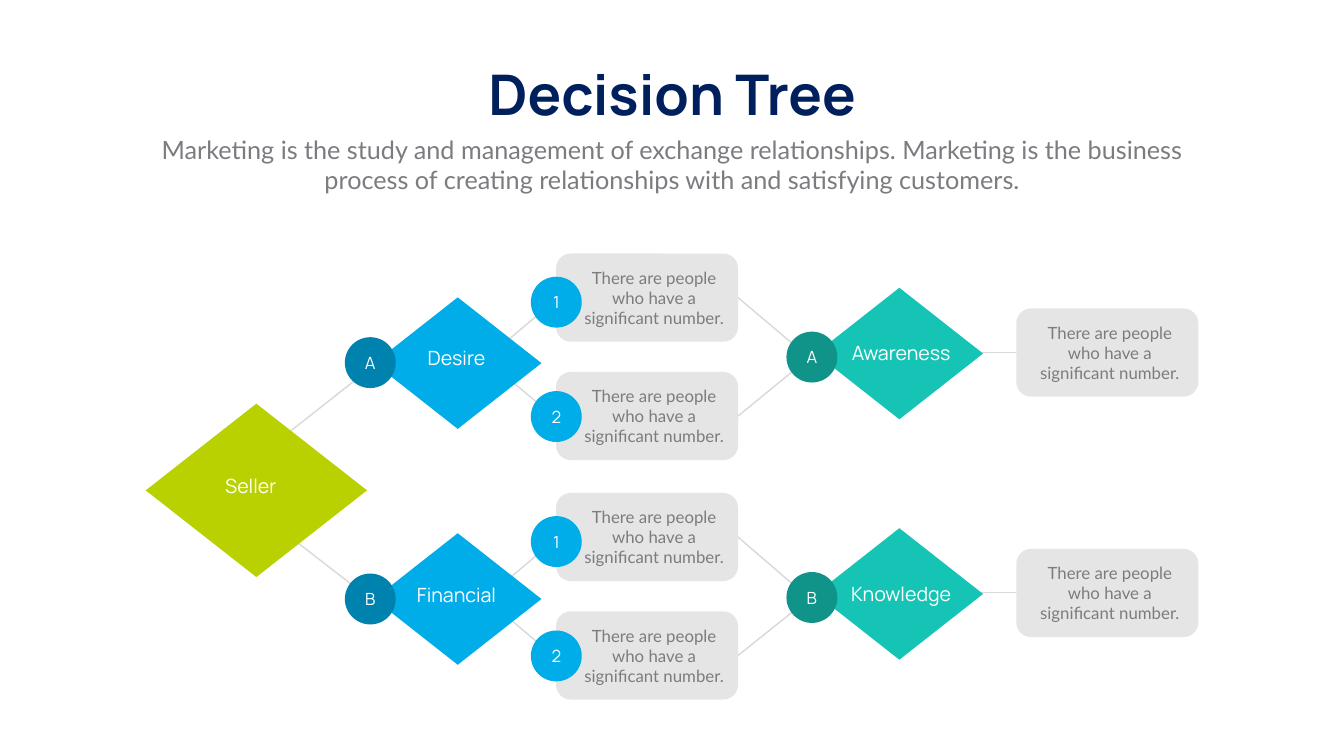
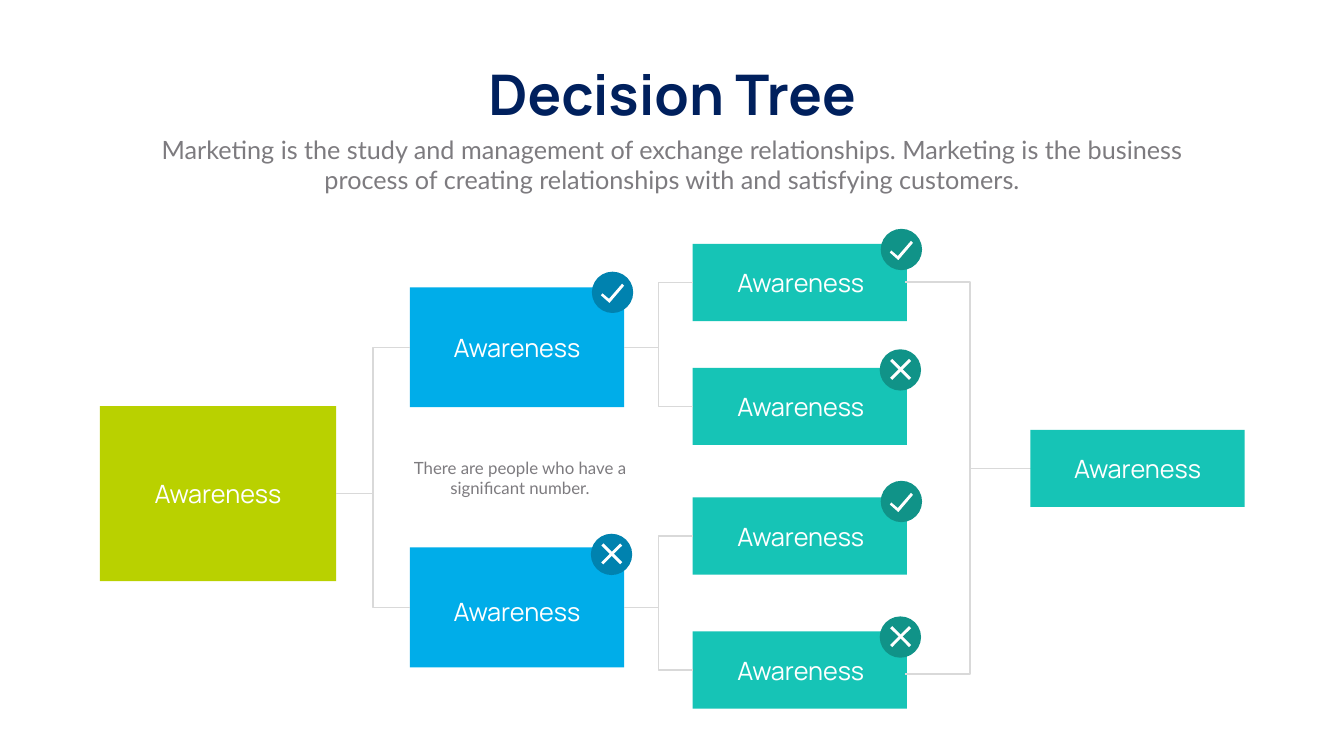
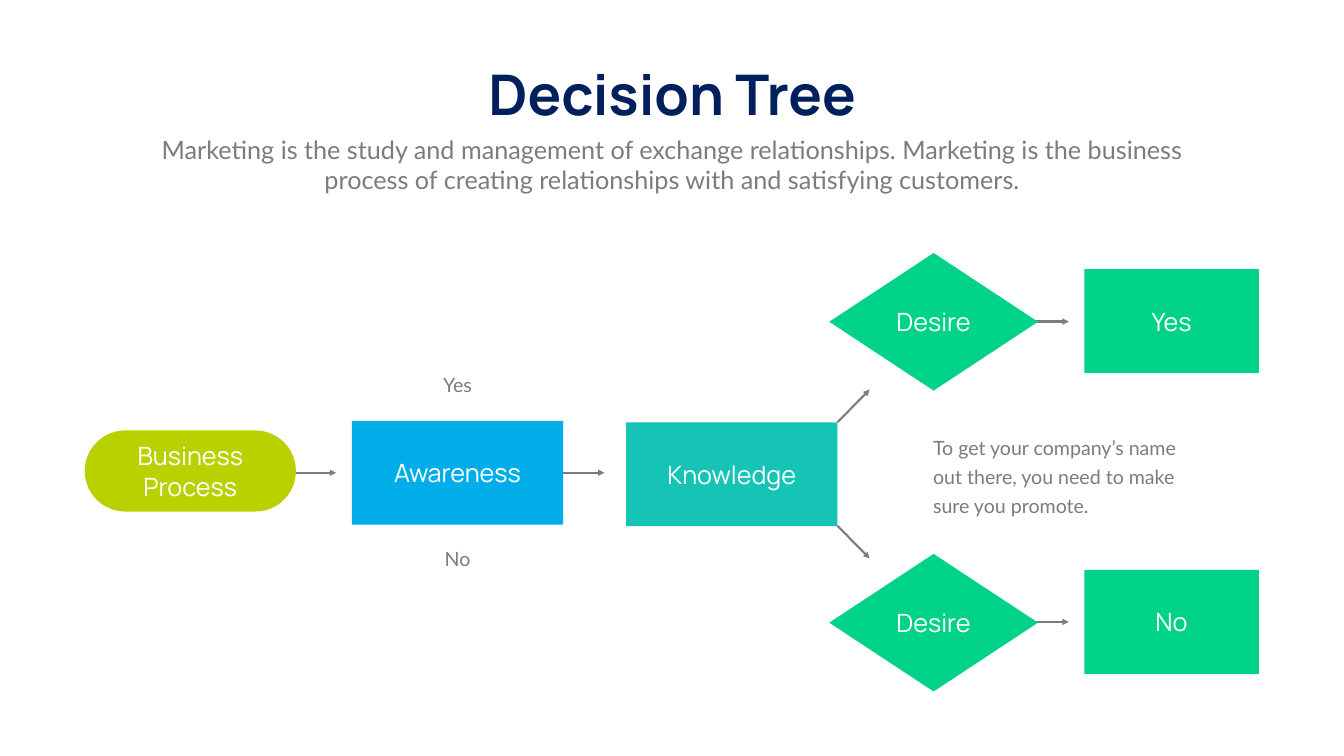
from lxml.etree import SubElement
from pptx import Presentation
from pptx.dml.color import RGBColor
from pptx.enum.shapes import MSO_CONNECTOR as LINK, MSO_SHAPE as FORM
from pptx.enum.text import MSO_ANCHOR, MSO_AUTO_SIZE, PP_ALIGN
from pptx.oxml.ns import qn
from pptx.util import Pt

PX = 9144
WIDE, HIGH = 2666, 1500

NAVY, GREY, PALE, RULE = "00205D", "7D7B7F", "E5E5E5", "D9D9D9"
LIME, BLUE, DEEP = "B9D100", "00ADE9", "0082AF"
TEAL, PINE, GREEN, WHITE = "16C4B6", "109388", "00D287", "FFFFFF"
HEAD, BODY = "Manrope", "Lato"
INSET = (10, 5, 10, 5)

TITLE = "Decision Tree"
LEAD = ("Marketing is the study and management of exchange relationships. "
        "Marketing is the business process of creating relationships with "
        "and satisfying customers.")
NOTE = "There are people who have a significant number."
PITCH = ("To get your company’s name out there, you need to make sure "
         "you promote.")

TRUNK = [(578, 854, 705, 754), (579, 1068, 707, 1167)]
ROWS = [
    ("A", "Desire", 590, 669, 22, "Awareness"),
    ("B", "Financial", 1058, 1138, 16, "Knowledge"),
]
CHOICES = [
    ("1", 503, 549, (683, 607), 681),
    ("2", 738, 776, (742, 818), 738),
]
CARD_STEP, TEAL_STEP = 475, 477

ROOT = (198, 806, 469, 347)
FORKS = [
    (570, 0, "check", (1174, 539), [
        (484, "check", (1747, 454)), (730, "cross", (1745, 693))]),
    (1086, 17, "cross", (1172, 1059), [
        (987, "check", (1747, 954)), (1253, "cross", (1745, 1223))]),
]
TICK = [(60, 24), (64, 28), (35, 62), (18, 47), (21, 43), (34, 54)]
MERGE = [560, 1337]

ARROWS = [
    (2010, 1234, 2120, 1234), (2010, 638, 2120, 638),
    (1090, 938, 1199, 938), (558, 938, 667, 938),
    (1661, 838, 1725, 773), (1661, 1043, 1725, 1108),
]
STEPS = [
    (FORM.ROUNDED_RECTANGLE, (168, 854, 419, 161), LIME, "Business Process"),
    (FORM.RECTANGLE, (698, 835, 419, 206), BLUE, "Awareness"),
    (FORM.RECTANGLE, (1242, 838, 419, 206), TEAL, "Knowledge"),
]
ENDS = [("Yes", 502, 735), ("No", 1099, 1080)]


def px(*nums):
    return [round(num * PX) for num in nums]


def tint(code):
    return RGBColor.from_string(code)


def write(shape, text, size, font=HEAD, color=WHITE, pad=(0, 0, 0, 0),
          wrap=True, anchor=MSO_ANCHOR.MIDDLE, align=PP_ALIGN.CENTER):
    frame = shape.text_frame
    frame.text = text
    frame.word_wrap = wrap
    frame.auto_size = MSO_AUTO_SIZE.NONE
    frame.vertical_anchor = anchor
    (frame.margin_left, frame.margin_top,
     frame.margin_right, frame.margin_bottom) = px(*pad)
    para = frame.paragraphs[0]
    para.alignment = align
    face = para.runs[0].font
    face.name, face.size = font, Pt(size)
    face.color.rgb = tint(color)
    return para


def paint(shape, color):
    shape.shadow.inherit = False
    shape.fill.solid()
    shape.fill.fore_color.rgb = tint(color)
    shape.line.fill.background()
    return shape


def block(slide, form, box, color, text="", size=36, **more):
    shape = paint(slide.shapes.add_shape(form, *px(*box)), color)
    if text:
        write(shape, text, size, **more)
    return shape


def label(slide, box, text, size, **more):
    area = slide.shapes.add_textbox(*px(*box))
    return write(area, text, size, BODY, GREY, INSET,
                 anchor=MSO_ANCHOR.TOP, **more)


def join(slide, ends, color=RULE, width=2, kind=LINK.STRAIGHT, arrow=False):
    line = slide.shapes.add_connector(kind, *px(*ends))
    line.line.color.rgb = tint(color)
    line.line.width = Pt(width)
    props = line._element.spPr
    if arrow:
        SubElement(props.find(qn("a:ln")), qn("a:tailEnd"), type="triangle")
    SubElement(props, qn("a:effectLst"))
    return line


def elbow(slide, start, stop):
    line = join(slide, (0, 0, 10, 10), kind=LINK.ELBOW)
    line.begin_connect(start, 3)
    line.end_connect(stop, 1)


def disc(slide, x, y, color, text):
    block(slide, FORM.OVAL, (x, y, 101, 101), color, text, 24)


def card(slide, x, y, left, right):
    return block(slide, FORM.ROUNDED_RECTANGLE, (x, y, 361, 175), PALE, NOTE,
                 24, font=BODY, color_text=GREY, pad=(left, 0, right, 0))


def badge(slide, mark, spot, color):
    x, y = spot
    block(slide, FORM.OVAL, (x, y, 82, 82), color)
    if mark == "check":
        dots = [(x + dx, y + dy) for dx, dy in TICK]
        pen = slide.shapes.build_freeform(*dots[0], scale=PX)
        pen.add_line_segments(dots[1:], close=True)
        paint(pen.convert_to_shape(), WHITE)
    else:
        for turn in (45, 315):
            bar = block(slide, FORM.RECTANGLE, (x + 15, y + 37, 53, 6), WHITE)
            bar.rotation = turn


def start(deck):
    slide = deck.slides.add_slide(deck.slide_layouts[5])
    title = slide.shapes.title
    title.left, title.top, title.width, title.height = px(938, 112, 791, 145)
    para = write(title, TITLE, 80, color=NAVY, pad=INSET, wrap=False)
    para.runs[0].font.bold = True
    label(slide, (292, 261, 2082, 131), LEAD, 36)
    return slide


def card(slide, x, y, left, right):
    shape = block(slide, FORM.ROUNDED_RECTANGLE, (x, y, 361, 175), PALE)
    write(shape, NOTE, 24, BODY, GREY, (left, 0, right, 0))
    return shape


def diamonds(deck):
    slide = start(deck)
    for ends in TRUNK:
        join(slide, ends)
    for row, (mark, name, top, ring, lift, goal) in enumerate(ROWS):
        drop, fall = row * CARD_STEP, row * TEAL_STEP
        for digit, y, dot, (near, far), meet in CHOICES:
            join(slide, (998, near + drop, 1088, far + drop))
            note = card(slide, 1103, y + drop, 44, 16)
            disc(slide, 1053, dot + drop, BLUE, digit)
            line = join(slide, (1464, y + drop, 1571, meet + fall))
            line.begin_connect(note, 3)
        block(slide, FORM.DIAMOND, (742, top, 332, 261), BLUE, name, 28,
              pad=(0, 0, 5, lift), wrap=False)
        disc(slide, 684, ring, DEEP, mark)
        join(slide, (1941, 699 + fall, 2091, 699 + fall))
        block(slide, FORM.DIAMOND, (1618, 571 + fall, 332, 261), TEAL, goal,
              28, pad=(7, 0, 0, 2), wrap=False)
        disc(slide, 1560, 658 + fall, PINE, mark)
        card(slide, 2016, 612 + fall, 35, 25)
    block(slide, FORM.DIAMOND, (289, 801, 439, 344), LIME, "Seller", 28,
          pad=(0, 0, 22, 18), wrap=False)


def boxes(deck):
    slide = start(deck)
    word = "Awareness"
    root = block(slide, FORM.RECTANGLE, ROOT, LIME, word)
    for top, drop, mark, spot, leaves in FORKS:
        fork = block(slide, FORM.RECTANGLE, (813, top, 425, 238), BLUE, word,
                     pad=(0, drop, 0, 0))
        elbow(slide, root, fork)
        badge(slide, mark, spot, DEEP)
        for y, sign, place in leaves:
            leaf = block(slide, FORM.RECTANGLE, (1374, y, 425, 153), TEAL,
                         word, pad=(4, 0, 0, 0))
            elbow(slide, fork, leaf)
            badge(slide, sign, place, PINE)
    label(slide, (783, 903, 497, 91), NOTE, 24)
    for y in MERGE:
        join(slide, (2053, 930, 1796, y), kind=LINK.ELBOW)
    block(slide, FORM.RECTANGLE, (2044, 853, 425, 153), TEAL, word)


def flow(deck):
    slide = start(deck)
    for ends in ARROWS:
        join(slide, ends, GREY, 3, arrow=True)
    for form, box, color, text in STEPS:
        shape = block(slide, form, box, color, text)
        if form == FORM.ROUNDED_RECTANGLE:
            shape.adjustments[0] = 0.5
    for text, top, y in ENDS:
        block(slide, FORM.DIAMOND, (1645, top, 414, 273), GREEN, "Desire",
              wrap=False)
        block(slide, FORM.RECTANGLE, (2151, top + 32, 346, 206), GREEN, text)
        label(slide, (830, y, 155, 57), text, 28)
    para = label(slide, (1841, 851, 527, 177), PITCH, 28,
                 align=PP_ALIGN.LEFT)
    para.line_spacing = Pt(40.8)


def main():
    deck = Presentation()
    deck.slide_width, deck.slide_height = px(WIDE, HIGH)
    for build in (diamonds, boxes, flow):
        build(deck)
    deck.save("out.pptx")


if __name__ == "__main__":
    main()
